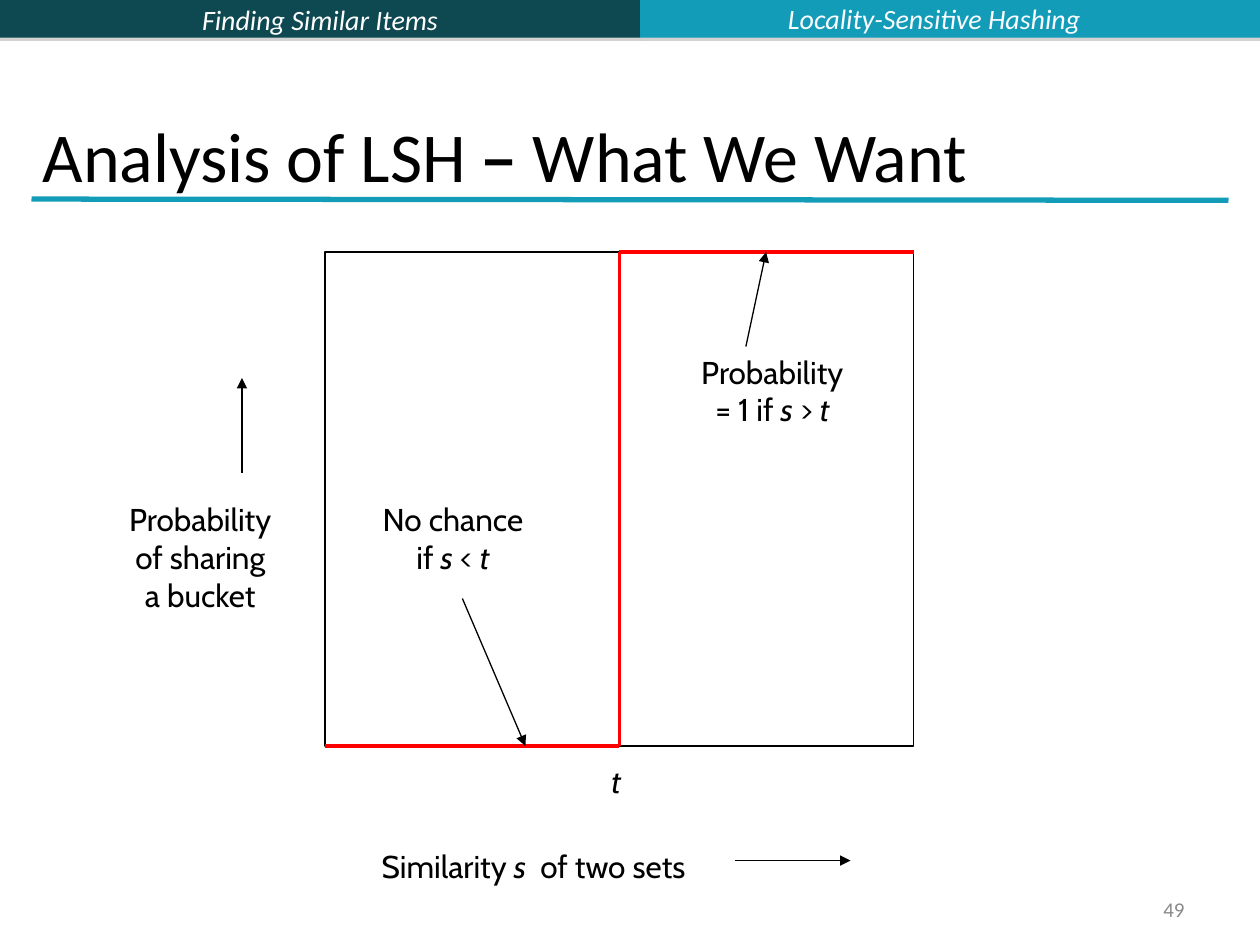
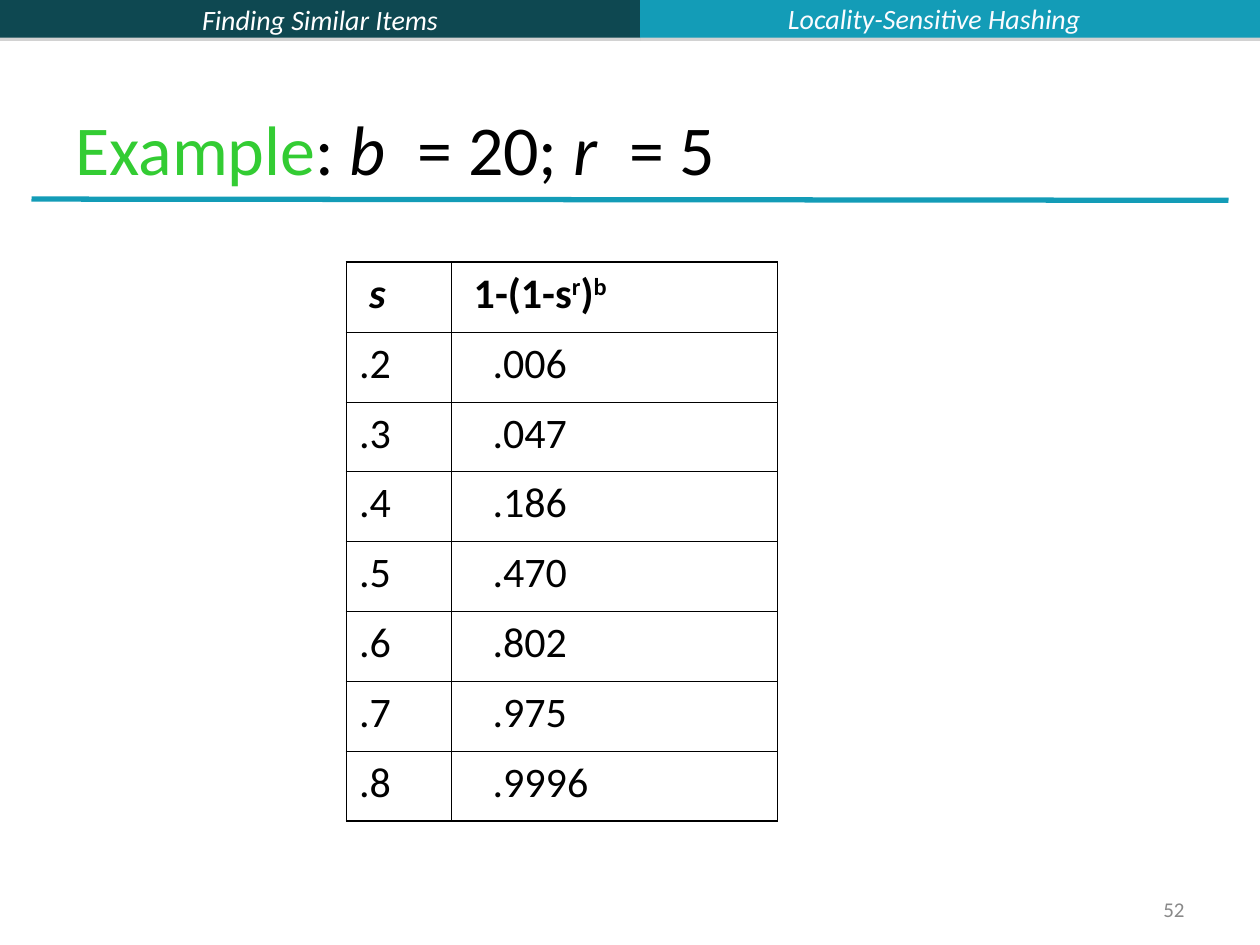
import pptx
import pptx.util
import pptx.dml.color
import pptx.enum.shapes
import pptx.enum.text
import pptx.oxml
import pptx.oxml.ns

Inches = pptx.util.Inches
Pt = pptx.util.Pt
ALIGN = pptx.enum.text.PP_ALIGN
ANCHOR = pptx.enum.text.MSO_ANCHOR
RECT = pptx.enum.shapes.MSO_SHAPE.RECTANGLE
LINE = pptx.enum.shapes.MSO_CONNECTOR.STRAIGHT

DARK, TEAL, RED, GREEN = "0E4851", "139CB7", "FF0000", "33CC33"
BLACK, WHITE, PALE, GREY = "000000", "FFFFFF", "FBFCFF", "898989"
BODY, NOTE = "Calibri", "Cabin"

SIZE = (10, 7.5)
SPLIT, BAND = 5.08, 0.3
TOPIC, PART = "Finding Similar Items", "Locality-Sensitive Hashing"

WANT = dict(
    page="49",
    at=(0.24, 0.36, 9.49, 1.25),
    title=[("Analysis of LSH ", {}), ("–", {"font": NOTE}), (" What We Want", {})],
)
CASE = dict(
    page="52",
    at=(0.5, 0.3, 9, 1.25),
    title=[("Example", {"color": GREEN}), (": ", {}), ("b", {"italic": True}),
           ("  = 20; ", {}), ("r", {"italic": True}), ("  = 5", {})],
)

PLOT = (2.58, 2, 4.67, 3.92)
S, T = ("s", {"italic": True}), ("t", {"italic": True})
LABELS = [
    ((2.93, 6.67, 2.61, 0.4), [[("Similarity ", {}), S, ("  of two sets", {})]]),
    ((0.86, 3.92, 1.46, 1), ["Probability", "of sharing", "a bucket"]),
    ((4.75, 6, 0.28, 0.4), [[T]]),
    ((2.88, 3.92, 1.43, 0.7), ["No chance", [("if ", {}), S, (" < ", {}), T]]),
    ((5.4, 2.75, 1.46, 0.7), ["Probability", [("= 1 if ", {}), S, (" > ", {}), T]]),
]
ARROWS = [
    ((5.83, 6.83), (6.75, 6.83)),
    ((1.92, 3.75), (1.92, 3)),
    ((3.67, 4.75), (4.17, 5.92)),
    ((5.92, 2.75), (6.08, 2)),
]

GRID = (2.75, 2.08, 3.42, 4.44)
WIDTHS = (0.83, 2.59)
UPPER = {"base": 30000}
HEAD = [[S], [("1-(1-s", {}), ("r", UPPER), (")", {}), ("b", UPPER)]]
ROWS = [(".2", ".006"), (".3", ".047"), (".4", ".186"), (".5", ".470"),
        (".6", ".802"), (".7", ".975"), (".8", ".9996")]
HEAD_PAD, ROW_PAD = (0.18, 0.18), (0.1, 0.33)
OUTER, INNER = 1.08, 0.45


def hue(code):
    return pptx.dml.color.RGBColor.from_string(code)


def spot(at):
    return [Inches(n) for n in at]


def node(tag, inner="", **attrs):
    text = " ".join(f'{key}="{val}"' for key, val in attrs.items())
    space = pptx.oxml.ns.nsdecls("a")
    return pptx.oxml.parse_xml(f"<a:{tag} {space} {text}>{inner}</a:{tag}>")


def write(frame, lines, size, font=BODY, color=BLACK, align=ALIGN.LEFT,
          bold=False, italic=False):
    frame.text = "\n".join(
        line if isinstance(line, str) else "" for line in lines)
    for para, line in zip(frame.paragraphs, lines):
        para.alignment = align
        looks = [{}]
        if not isinstance(line, str):
            looks = [look for _, look in line]
            for text, _ in line:
                para.add_run().text = text
        for run, look in zip(para.runs, looks):
            run.font.size = Pt(size)
            run.font.name = look.get("font", font)
            run.font.color.rgb = hue(look.get("color", color))
            run.font.bold = bold
            run.font.italic = look.get("italic", italic)
            if "base" in look:
                run.font._element.set("baseline", str(look["base"]))


def label(slide, at, lines, size, anchor=ANCHOR.TOP, wrap=True, **style):
    frame = slide.shapes.add_textbox(*spot(at)).text_frame
    frame.word_wrap = wrap
    frame.vertical_anchor = anchor
    write(frame, lines, size, **style)


def link(slide, start, end, color=BLACK, width=0.75, arrow=False):
    line = slide.shapes.add_connector(LINE, *spot(start + end))
    line.line.color.rgb = hue(color)
    line.line.width = Pt(width)
    if arrow:
        line.line._get_or_add_ln().append(node("tailEnd", type="triangle"))
    line._element.spPr.append(node("effectLst"))
    return line


def band(slide, left, right, color):
    shape = slide.shapes.add_shape(RECT, *spot((left, 0, right - left, BAND)))
    shape.fill.solid()
    shape.fill.fore_color.rgb = hue(color)
    shape.line.fill.background()
    shape.shadow.inherit = False
    tint = '<a:srgbClr val="808080"><a:alpha val="35000"/></a:srgbClr>'
    glow = node("outerShdw", tint, blurRad=0, dist=Pt(1.8), dir=5400000,
                rotWithShape=0)
    shape._element.spPr.find(pptx.oxml.ns.qn("a:effectLst")).append(glow)
    return shape


def start(deck, page, at, title):
    slide = deck.slides.add_slide(deck.slide_layouts[6])
    left = band(slide, 0, SPLIT, DARK)
    left.text_frame.vertical_anchor = ANCHOR.MIDDLE
    head = dict(size=16, align=ALIGN.CENTER, italic=True)
    write(left.text_frame, [TOPIC], color=WHITE, **head)
    band(slide, SPLIT, SIZE[0], TEAL)
    label(slide, (4.83, -0.04, 5.17, 0.37), [PART], color=PALE,
          anchor=ANCHOR.MIDDLE, **head)
    link(slide, (0.25, 1.58), (9.75, 1.59), TEAL, 3)
    label(slide, (7.17, 7.08, 2.33, 0.27), [page], 12, color=GREY,
          anchor=ANCHOR.MIDDLE, align=ALIGN.RIGHT)
    label(slide, at, [title], 40, anchor=ANCHOR.BOTTOM)
    return slide


def draw_step(slide):
    left, top, width, height = PLOT
    mid, right, base = left + width / 2, left + width, top + height
    box = slide.shapes.add_shape(RECT, *spot(PLOT))
    box.fill.background()
    box.line.color.rgb = hue(BLACK)
    box.line.width = Pt(0.75)
    box.shadow.inherit = False
    low = link(slide, (left, base), (mid, base), RED, 2)
    low.end_connect(box, 2)
    rise = link(slide, (mid, base), (mid, top), RED, 2)
    rise.begin_connect(box, 2)
    rise.end_connect(box, 0)
    high = link(slide, (mid, top), (right, top), RED, 2)
    high.begin_connect(box, 0)
    for at, lines in LABELS:
        label(slide, at, lines, 18, font=NOTE, align=ALIGN.CENTER, wrap=False)
    for tail, tip in ARROWS:
        link(slide, tail, tip, arrow=True)


def edge(cell, sides):
    fill = f'<a:solidFill><a:srgbClr val="{BLACK}"/></a:solidFill>'
    props = cell._tc.get_or_add_tcPr()
    for place, (side, outer) in enumerate(sides):
        width = Pt(OUTER if outer else INNER)
        props.insert(place, node("ln" + side, fill, w=width))


def draw_grid(slide):
    data = [HEAD] + [[[(text, {})] for text in row] for row in ROWS]
    table = slide.shapes.add_table(len(data), len(WIDTHS), *spot(GRID)).table
    table.first_row = table.horz_banding = False
    for col, width in zip(table.columns, WIDTHS):
        col.width = Inches(width)
    for y, row in enumerate(data):
        for x, line in enumerate(row):
            cell = table.cell(y, x)
            cell.fill.background()
            cell.margin_left = Inches((ROW_PAD if y else HEAD_PAD)[x])
            write(cell.text_frame, [line], 24, bold=y == 0)
            cell.text_frame.paragraphs[0].space_before = Pt(6)
            edge(cell, [("L", x == 0), ("R", x == len(row) - 1),
                        ("T", y == 0), ("B", y == len(data) - 1)])


def main():
    deck = pptx.Presentation()
    deck.slide_width, deck.slide_height = spot(SIZE)
    draw_step(start(deck, **WANT))
    draw_grid(start(deck, **CASE))
    deck.save("out.pptx")


if __name__ == "__main__":
    main()
